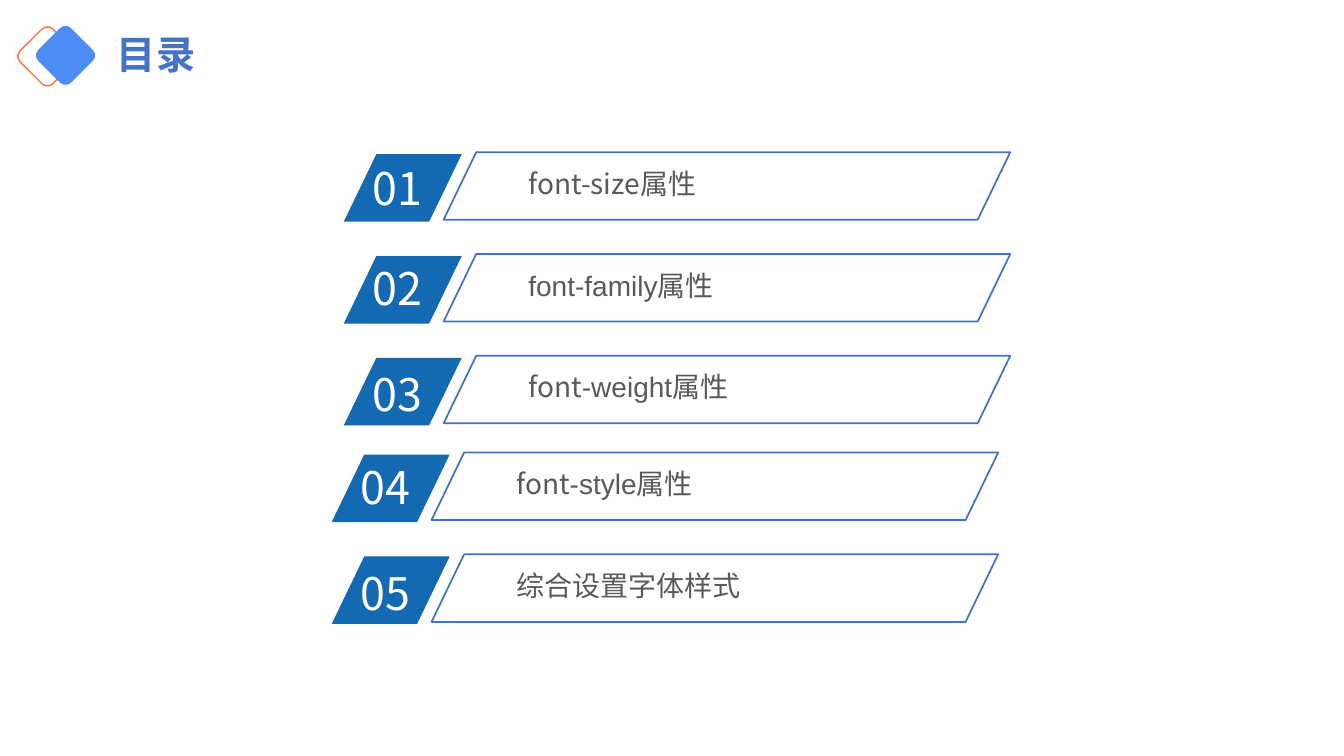
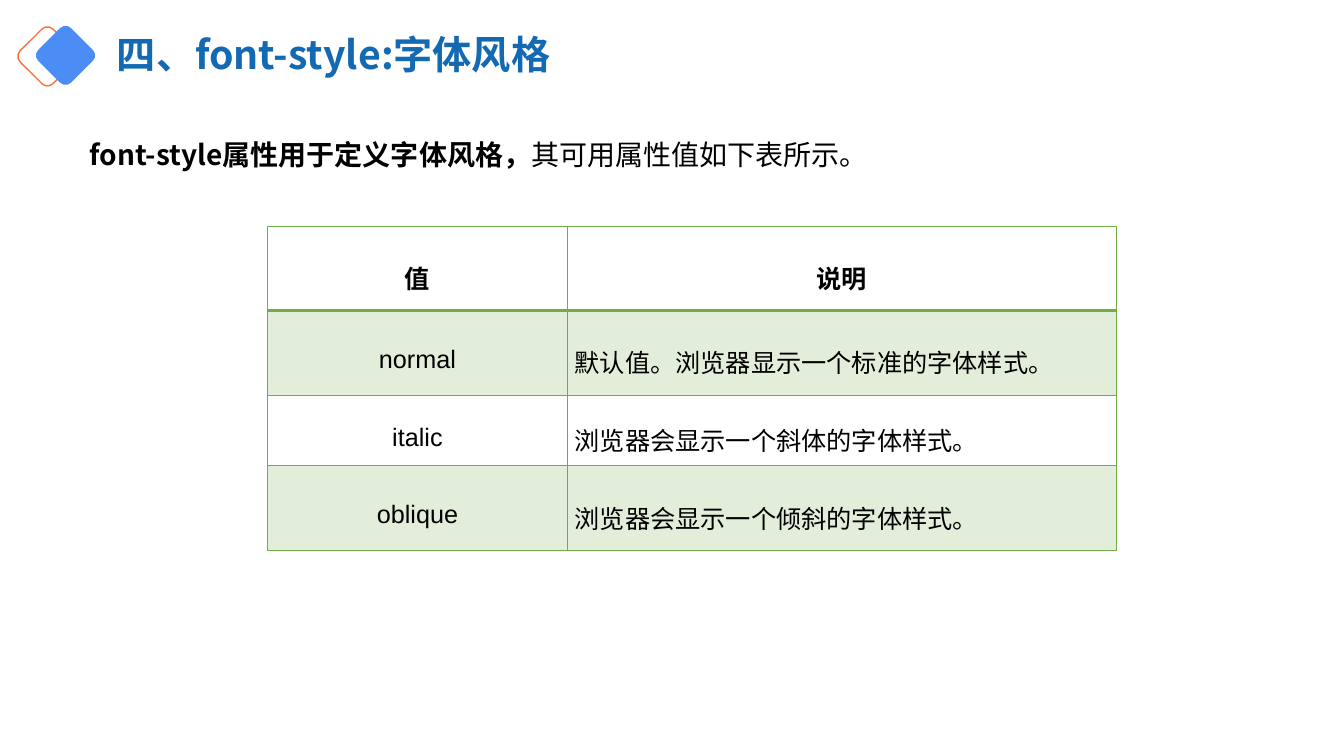
from lxml.etree import SubElement
from pptx import Presentation
from pptx.dml.color import RGBColor
from pptx.enum.shapes import MSO_SHAPE
from pptx.enum.text import MSO_ANCHOR, PP_ALIGN
from pptx.oxml.ns import qn
from pptx.util import Emu, Pt

# Scale: 100 px to the inch
EMU_PER_PX = 9144

CJK_FONT = "Noto Sans CJK SC"
LATIN_FONT = "Arial"
BLUE = RGBColor(0x13, 0x69, 0xB2)
OUTLINE_BLUE = RGBColor(0x44, 0x72, 0xC4)
DIAMOND_BLUE = RGBColor(0x4C, 0x8C, 0xF5)
ORANGE = RGBColor(0xFD, 0x70, 0x3B)
GREEN = RGBColor(0x70, 0xAD, 0x47)
GREY = RGBColor(0x59, 0x59, 0x59)
BLACK = RGBColor(0, 0, 0)
WHITE = RGBColor(0xFF, 0xFF, 0xFF)

# Content
AGENDA_TITLE = "目录"
# Each group: left, top, entries of (number, offset of number, label runs)
AGENDA_GROUPS = [
    (341, 151, [
        ("01", 4, [("font-size属性", CJK_FONT)]),
        ("02", 2, [("font-family属性", LATIN_FONT)]),
        ("03", 6, [("font", CJK_FONT), ("-weight属性", LATIN_FONT)]),
    ]),
    (329, 449, [
        ("04", 2, [("font", CJK_FONT), ("-style属性", LATIN_FONT)]),
        ("05", 6, [("综合设置字体样式", CJK_FONT)]),
    ]),
]
AGENDA_PITCH = 101
SLANT = 0.482

STYLE_TITLE = "四、font-style:字体风格"
STYLE_INTRO = [
    ("font-style属性用于定义字体风格，", {"bold": True}),
    ("其可用属性值如下表所示。", {}),
]
STYLE_TABLE = [
    ("值", "说明"),
    ("normal", "默认值。浏览器显示一个标准的字体样式。"),
    ("italic", "浏览器会显示一个斜体的字体样式。"),
    ("oblique", "浏览器会显示一个倾斜的字体样式。"),
]
COLUMN_WIDTHS = [298, 544]
ROW_HEIGHTS = [83, 84, 70, 84]


def px(value):
    return Emu(value * EMU_PER_PX)


def box(*values):
    return [px(value) for value in values]


def write_text(frame, text, size=20, color=BLACK, font=CJK_FONT, bold=False,
               align=PP_ALIGN.LEFT, spacing=None):
    """Write a string, or a list of (text, overrides) runs, as one paragraph."""
    frame.word_wrap = True
    paragraph = frame.paragraphs[0]
    paragraph.alignment = align
    paragraph.line_spacing = spacing
    runs = [(text, {})] if isinstance(text, str) else text
    for run_text, overrides in runs:
        run = paragraph.add_run()
        run.text = run_text
        run.font.size = Pt(size)
        run.font.bold = overrides.get("bold", bold)
        run.font.color.rgb = color
        run.font.name = overrides.get("font", font)
        east_asian = SubElement(run.font._element, qn("a:ea"))
        east_asian.set("typeface", CJK_FONT)


def add_text(slide, place, text, inset=None, **text_format):
    frame = slide.shapes.add_textbox(*box(*place)).text_frame
    if inset is not None:
        frame.margin_left = frame.margin_right = px(inset[0])
        frame.margin_top = frame.margin_bottom = px(inset[1])
    write_text(frame, text, **text_format)


def add_plain_shape(slide, kind, place, fill=None, line=None, width=1, adjust=None):
    shape = slide.shapes.add_shape(kind, *box(*place))
    shape.shadow.inherit = False
    if adjust is not None:
        shape.adjustments[0] = adjust
    if fill is None:
        shape.fill.background()
    else:
        shape.fill.solid()
        shape.fill.fore_color.rgb = fill
    if line is None:
        shape.line.fill.background()
    else:
        shape.line.color.rgb = line
        shape.line.width = Pt(width)
    return shape


def add_titled_slide(presentation, title, color):
    slide = presentation.slides.add_slide(presentation.slide_layouts[5])
    placeholder = slide.shapes.title
    placeholder.left, placeholder.top, placeholder.width, placeholder.height = box(
        106, 17, 513, 79)
    placeholder.text_frame.vertical_anchor = MSO_ANCHOR.MIDDLE
    write_text(placeholder.text_frame, title, size=28, color=color, bold=True,
               spacing=0.9)
    return slide


def put_diamonds_on_layout(slide):
    """Give the layout the two diamonds that all slides share."""
    for place, colors in [((24, 33, 46, 46), {"line": ORANGE}),
                          ((42, 32, 46, 46), {"fill": DIAMOND_BLUE})]:
        diamond = add_plain_shape(slide, MSO_SHAPE.ROUNDED_RECTANGLE, place, **colors)
        diamond.rotation = 45
        slide.slide_layout.shapes.element.append(diamond.element)


def add_agenda_entry(slide, left, top, number, number_offset, label):
    add_plain_shape(slide, MSO_SHAPE.PARALLELOGRAM, (left, top + 2, 117, 67),
                    fill=BLUE, adjust=SLANT)
    add_text(slide, (left + 19, top + number_offset, 112, 64), number,
             size=32, color=WHITE)
    add_plain_shape(slide, MSO_SHAPE.PARALLELOGRAM, (left + 99, top, 562, 67),
                    line=OUTLINE_BLUE, width=1.25, adjust=SLANT)
    add_text(slide, (left + 176, top + 10, 412, 41),
             [(text, {"font": font}) for text, font in label],
             inset=(7, 4), color=GREY)


def set_borders(cell, is_header):
    properties = cell._tc.get_or_add_tcPr()
    for side in "LRTB":
        width = 2 if is_header and side == "B" else 1
        line = SubElement(properties, qn(f"a:ln{side}"), w=str(Pt(width)))
        fill = SubElement(line, qn("a:solidFill"))
        SubElement(fill, qn("a:srgbClr"), val=str(GREEN))


def fill_cell(cell, tinted):
    if not tinted:
        cell.fill.background()
        return
    cell.fill.solid()
    cell.fill.fore_color.rgb = GREEN
    color = cell._tc.tcPr.find(qn("a:solidFill")).find(qn("a:srgbClr"))
    SubElement(color, qn("a:alpha"), val="20000")


def add_value_table(slide):
    table = slide.shapes.add_table(
        len(ROW_HEIGHTS), len(COLUMN_WIDTHS),
        *box(265, 225, sum(COLUMN_WIDTHS), sum(ROW_HEIGHTS))).table
    table.horz_banding = False
    for column, width in zip(table.columns, COLUMN_WIDTHS):
        column.width = px(width)
    for row, height in zip(table.rows, ROW_HEIGHTS):
        row.height = px(height)
    for row_index, texts in enumerate(STYLE_TABLE):
        is_header = row_index == 0
        for column_index, text in enumerate(texts):
            cell = table.cell(row_index, column_index)
            cell.vertical_anchor = MSO_ANCHOR.MIDDLE
            cell.margin_left = cell.margin_right = px(7)
            cell.margin_top = cell.margin_bottom = 0
            set_borders(cell, is_header)
            fill_cell(cell, tinted=row_index % 2 == 1)
            centred = is_header or column_index == 0
            write_text(cell.text_frame, text, size=18, font=LATIN_FONT,
                       bold=is_header, spacing=1.5,
                       align=PP_ALIGN.CENTER if centred else PP_ALIGN.JUSTIFY)


def main():
    presentation = Presentation()
    presentation.slide_width, presentation.slide_height = box(1333, 750)

    # Agenda
    slide = add_titled_slide(presentation, AGENDA_TITLE, OUTLINE_BLUE)
    put_diamonds_on_layout(slide)
    for left, first_top, entries in AGENDA_GROUPS:
        for index, entry in enumerate(entries):
            add_agenda_entry(slide, left, first_top + index * AGENDA_PITCH, *entry)

    # Values of font-style
    slide = add_titled_slide(presentation, STYLE_TITLE, BLUE)
    add_text(slide, (79, 115, 1142, 70), STYLE_INTRO, spacing=1.5)
    add_value_table(slide)

    presentation.save("out.pptx")


if __name__ == "__main__":
    main()
